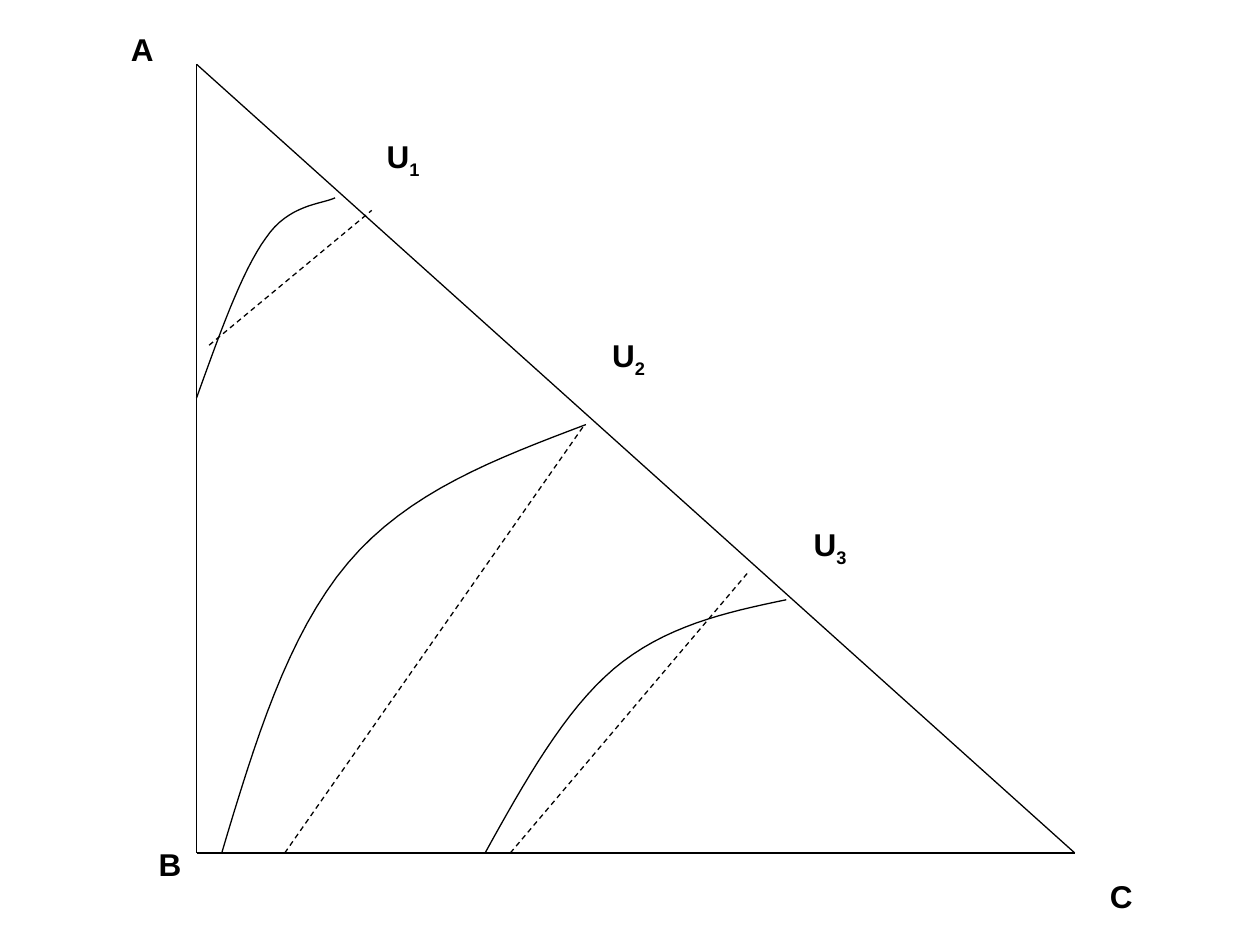
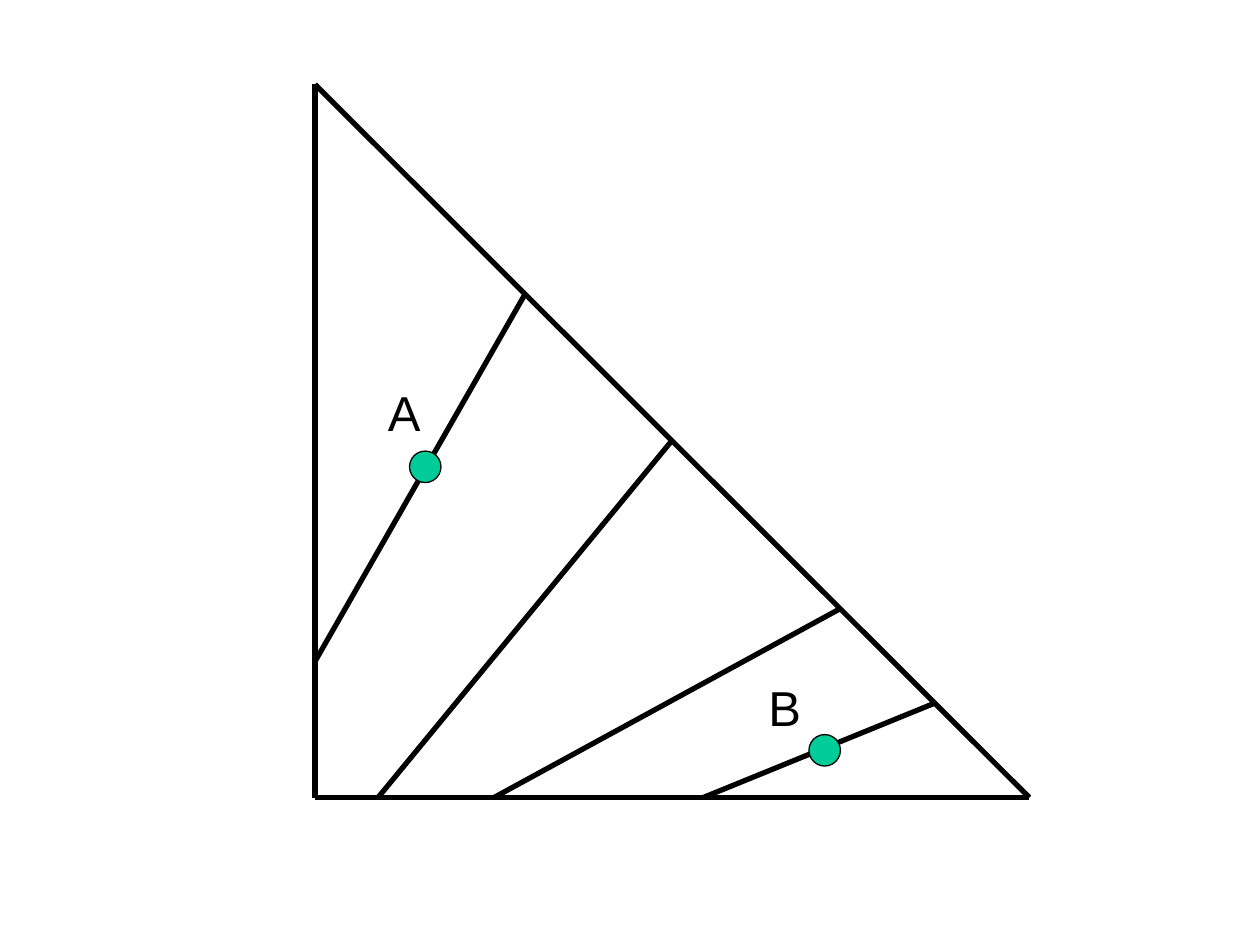
import collections

import pptx
import pptx.dml.color
import pptx.enum.dml
import pptx.enum.shapes
import pptx.enum.text
import pptx.oxml
import pptx.oxml.ns
import pptx.util

PX = pptx.util.Inches(1) // 100
BLACK = pptx.dml.color.RGBColor(0x00, 0x00, 0x00)
GREEN = pptx.dml.color.RGBColor(0x00, 0xCC, 0x99)
DASH = pptx.enum.dml.MSO_LINE.DASH
THIN, THICK = 0.75, 3
CURVE_STEPS = 16
MARKER_SIZE = 25

Box = collections.namedtuple("Box", "left top width height")
INDIFFERENCE_BOX = Box(156, 51, 697, 626)
CHOICE_BOX = Box(250, 67, 567, 566)

CORNER_LABELS = [("A", -62, -32), ("C", 715, 640), ("B", -40, 615)]
UTILITY_LABELS = [("1", 141, 53), ("2", 320, 211), ("3", 480, 361)]
UTILITY_CURVES = [
    [(0, 265), (18, 215), (36, 164), (55, 138), (73, 111), (100, 111), (110, 106)],
    [(20, 626), (46, 539), (72, 453), (120, 396), (168, 339), (238, 313), (309, 286)],
    [(229, 626), (260, 570), (292, 513), (331, 480), (371, 446), (420, 435), (468, 425)],
]
UTILITY_CHORDS = [
    ((249, 626), (438, 403)),
    ((70, 626), (308, 286)),
    ((10, 223), (139, 116)),
]
CHOICE_LINES = [
    ((0, 458), (167, 166)),
    ((50, 566), (283, 283)),
    ((142, 566), (417, 416)),
    ((308, 566), (492, 491)),
]
CHOICE_MARKERS = [(75, 291), (392, 516)]
CHOICE_LABELS = [("A", 48, 232), ("B", 350, 466)]

FRAME_FORMAT = {
    "word_wrap": False,
    "auto_size": pptx.enum.text.MSO_AUTO_SIZE.SHAPE_TO_FIT_TEXT,
    "margin_left": 10 * PX,
    "margin_right": 10 * PX,
    "margin_top": 5 * PX,
    "margin_bottom": 5 * PX,
}


def apply_format(target, values):
    for name, value in values.items():
        setattr(target, name, value)


def draw_outline(line, weight, dash=None):
    line.color.rgb = BLACK
    apply_format(line, {"width": pptx.util.Pt(weight), "dash_style": dash})


def add_segment(slide, box, start, end, weight, dash=None):
    ends = [(box.left + x, box.top + y) for x, y in (start, end)]
    segment = slide.shapes.add_connector(
        pptx.enum.shapes.MSO_CONNECTOR.STRAIGHT,
        *(value * PX for point in ends for value in point),
    )
    draw_outline(segment.line, weight, dash)
    effects = pptx.oxml.parse_xml(f"<a:effectLst {pptx.oxml.ns.nsdecls('a')}/>")
    segment.line._get_or_add_ln().addnext(effects)


def add_triangle(slide, box, weight):
    top, corner, right = (0, 0), (0, box.height), (box.width, box.height)
    for start, end in ((top, corner), (corner, right), (top, right)):
        add_segment(slide, box, start, end, weight)


def bezier_points(controls):
    for first in range(0, len(controls) - 1, 3):
        a, b, c, d = controls[first:first + 4]
        for step in range(1, CURVE_STEPS + 1):
            t = step / CURVE_STEPS
            u = 1 - t
            weights = (u ** 3, 3 * u * u * t, 3 * u * t * t, t ** 3)
            yield tuple(
                round(PX * sum(w * value for w, value in zip(weights, axis)))
                for axis in zip(a, b, c, d)
            )


def add_curve(slide, box, controls):
    x, y = controls[0]
    outline = slide.shapes.build_freeform(x * PX, y * PX)
    outline.add_line_segments(list(bezier_points(controls)), close=False)
    curve = outline.convert_to_shape(box.left * PX, box.top * PX)
    curve.shadow.inherit = False
    curve.fill.background()
    draw_outline(curve.line, THIN)


def add_label(slide, box, text, x, y, width, height, size, bold, subscript=""):
    place = (box.left + x, box.top + y, width, height)
    label = slide.shapes.add_textbox(*(value * PX for value in place))
    apply_format(label.text_frame, FRAME_FORMAT)
    paragraph = label.text_frame.paragraphs[0]
    for part in filter(None, (text, subscript)):
        run = paragraph.add_run()
        run.text = part
        run.font.color.rgb = BLACK
        apply_format(run.font, {"name": "Arial", "size": pptx.util.Pt(size), "bold": bold})
    if subscript:
        run._r.get_or_add_rPr().set("baseline", "-25000")


def add_marker(slide, box, x, y):
    place = (box.left + x, box.top + y, MARKER_SIZE, MARKER_SIZE)
    marker = slide.shapes.add_shape(
        pptx.enum.shapes.MSO_SHAPE.OVAL, *(value * PX for value in place)
    )
    marker.shadow.inherit = False
    marker.fill.solid()
    marker.fill.fore_color.rgb = GREEN
    draw_outline(marker.line, THIN)


def build_indifference_slide(slide, box):
    add_triangle(slide, box, THIN)
    for text, x, y in CORNER_LABELS:
        add_label(slide, box, text, x, y, 38, 40, 18, True)
    for number, x, y in UTILITY_LABELS:
        add_label(slide, box, "U", x, y, 46, 44, 18, True, number)
    for controls in UTILITY_CURVES:
        add_curve(slide, box, controls)
    for start, end in UTILITY_CHORDS:
        add_segment(slide, box, start, end, THIN, DASH)


def build_choice_slide(slide, box):
    add_triangle(slide, box, THICK)
    for start, end in CHOICE_LINES:
        add_segment(slide, box, start, end, THICK)
    for x, y in CHOICE_MARKERS:
        add_marker(slide, box, x, y)
    for text, x, y in CHOICE_LABELS:
        add_label(slide, box, text, x, y, 46, 57, 28, False)


def main():
    deck = pptx.Presentation()
    apply_format(deck, {"slide_width": 1000 * PX, "slide_height": 750 * PX})
    blank = deck.slide_layouts[6]
    build_indifference_slide(deck.slides.add_slide(blank), INDIFFERENCE_BOX)
    build_choice_slide(deck.slides.add_slide(blank), CHOICE_BOX)
    deck.save("out.pptx")


if __name__ == "__main__":
    main()
